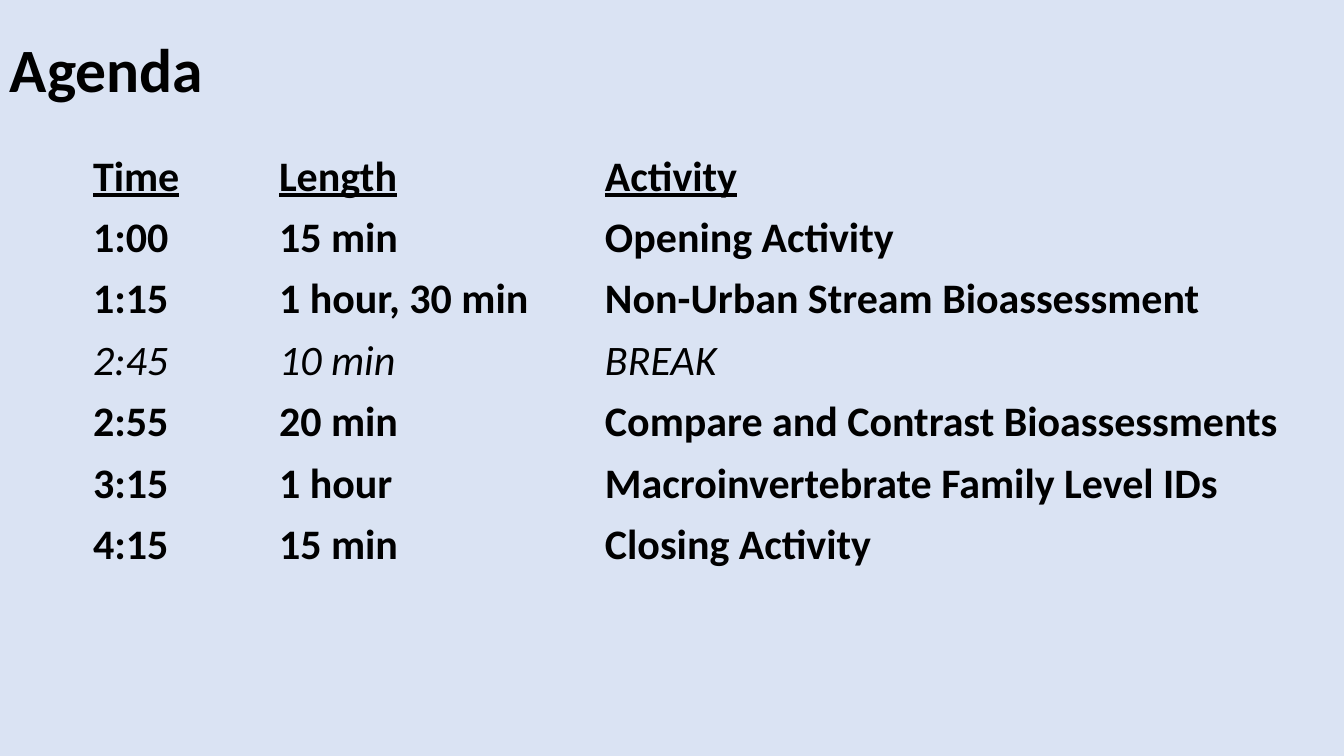
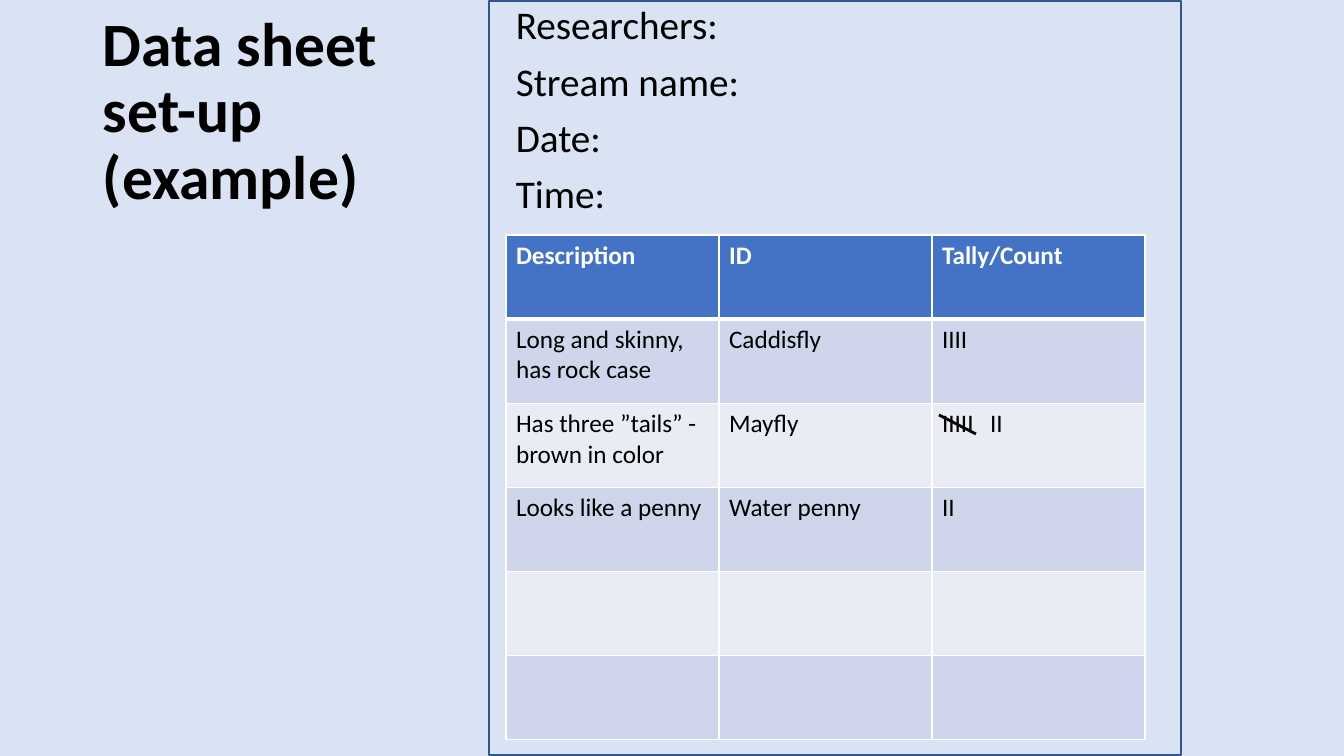
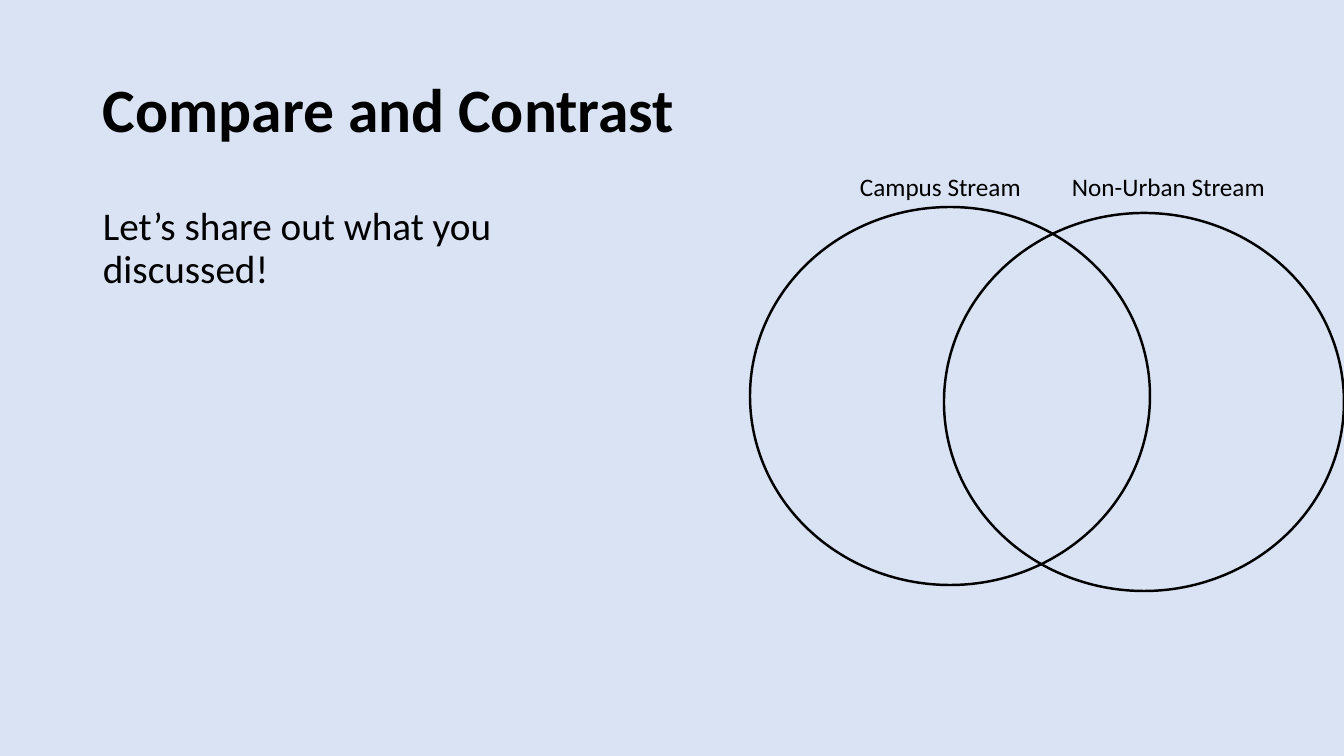
from lxml import etree
from pptx import Presentation
from pptx.dml.color import RGBColor
from pptx.enum.shapes import MSO_CONNECTOR, MSO_SHAPE
from pptx.enum.text import MSO_ANCHOR
from pptx.oxml.ns import qn
from pptx.util import Emu, Pt

LINE = MSO_CONNECTOR.STRAIGHT
RECT, OVAL = MSO_SHAPE.RECTANGLE, MSO_SHAPE.OVAL
TOP, MIDDLE = MSO_ANCHOR.TOP, MSO_ANCHOR.MIDDLE

FONT = "Calibri"
PLAIN_TABLE = "{2D5ABB26-0587-4C30-8999-92F81FD0307C}"
COLORS = {
    "background": "DAE3F3",
    "text": "000000",
    "white": "FFFFFF",
    "header": "4472C4",
    "band_dark": "CFD5EA",
    "band_light": "E9EBF5",
    "frame": "325491",
}

TITLE = {"size": Pt(44), "bold": True}
BODY = {"size": Pt(28)}
SMALL = {"size": Pt(18)}
AGENDA = {"size": Pt(30), "bold": True}
AGENDA_HEAD = {**AGENDA, "underline": True}
AGENDA_BREAK = {"size": Pt(30), "italic": True}

AGENDA_WIDTHS = (186, 326, 721)
AGENDA_ROWS = [
    ("Time", "Length", "Activity"),
    ("1:00", "15 min", "Opening Activity"),
    ("1:15", "1 hour, 30 min", "Non-Urban Stream Bioassessment"),
    ("2:45", "10 min", "BREAK"),
    ("2:55", "20 min", "Compare and Contrast Bioassessments"),
    ("3:15", "1 hour", "Macroinvertebrate Family Level IDs"),
    ("4:15", "15 min", "Closing Activity"),
]

SHEET_FIELDS = ["Researchers:", "Stream name:", "Date:", "Time:"]
SHEET_WIDTHS = (213, 213, 213)
TALLY_TAB = 48
SHEET_ROWS = [
    ("Description", "ID", "Tally/Count"),
    ("Long and skinny, has rock case", "Caddisfly", "IIII"),
    ("Has three ”tails” - brown in color", "Mayfly", "IIIII\tII"),
    ("Looks like a penny", "Water penny", "II"),
    ("", "", ""),
    ("", "", ""),
]

STREAMS = [
    ("Campus Stream", (850, 166, 188, 40), (750, 207, 400, 378)),
    ("Non-Urban Stream", (1062, 166, 221, 40), (944, 213, 400, 378)),
]


def px(n):
    return Emu(round(n * 914400 / 100.8))


def rgb(name):
    return RGBColor.from_string(COLORS[name])


def write(tf, lines, style, color="text", **spacing):
    for i, line in enumerate(lines):
        p = tf.add_paragraph() if i else tf.paragraphs[0]
        for key, value in spacing.items():
            setattr(p, key, value)
        r = p.add_run()
        r.text = line
        r.font.name = FONT
        r.font.color.rgb = rgb(color)
        for key, value in style.items():
            setattr(r.font, key, value)


def add_text(s, box, lines, style, anchor=TOP, wrap=True, **spacing):
    tf = s.shapes.add_textbox(*map(px, box)).text_frame
    tf.word_wrap = wrap
    tf.vertical_anchor = anchor
    write(tf, lines, style, **spacing)


def add_body(s, box, lines):
    add_text(s, box, lines, BODY, line_spacing=0.9, space_before=Pt(10))


def add_slide(prs, title, box):
    s = prs.slides.add_slide(prs.slide_layouts[6])
    add_text(s, box, [title], TITLE, MIDDLE, line_spacing=0.9)
    return s


def add_outline(s, kind, box, color, width):
    sp = s.shapes.add_shape(kind, *map(px, box))
    sp.shadow.inherit = False
    sp.fill.background()
    sp.line.color.rgb = rgb(color)
    sp.line.width = Pt(width)


def add_table(s, left, top, height, widths, rows):
    frame = s.shapes.add_table(len(rows), len(widths), px(left), px(top), px(sum(widths)), px(height))
    table = frame.table
    table.first_row = table.horz_banding = False
    table._tbl.tblPr.find(qn("a:tableStyleId")).text = PLAIN_TABLE
    for column, width in zip(table.columns, widths):
        column.width = px(width)
    return table


def set_borders(cell, color, widths):
    tcPr = cell._tc.get_or_add_tcPr()
    for side, width in widths.items():
        ln = etree.SubElement(tcPr, qn("a:ln" + side), w=str(Pt(width)))
        fill = etree.SubElement(ln, qn("a:solidFill"))
        etree.SubElement(fill, qn("a:srgbClr"), val=COLORS[color])


def set_tab(p, position):
    tabs = etree.SubElement(p._p.get_or_add_pPr(), qn("a:tabLst"))
    etree.SubElement(tabs, qn("a:tab"), pos=str(px(position)), algn="l")


def build_agenda(prs):
    s = add_slide(prs, "Agenda", (0, 0, 1159, 146))
    table = add_table(s, 83, 146, 430, AGENDA_WIDTHS, AGENDA_ROWS)
    styles = {0: AGENDA_HEAD, 3: AGENDA_BREAK}
    for i, row in enumerate(AGENDA_ROWS):
        for j, text in enumerate(row):
            cell = table.cell(i, j)
            cell.fill.background()
            write(cell.text_frame, [text], styles.get(i, AGENDA))


def build_data_sheet(prs):
    s = add_slide(prs, "Data sheet set-up (example)", (93, 40, 396, 146))
    add_body(s, (506, 1, 656, 649), SHEET_FIELDS)
    table = add_table(s, 506, 235, 505, SHEET_WIDTHS, SHEET_ROWS)
    for i, row in enumerate(SHEET_ROWS):
        head = i == 0
        fill = "header" if head else ("band_light", "band_dark")[i % 2]
        for j, text in enumerate(row):
            cell = table.cell(i, j)
            top, bottom = 3 if i == 1 else 1, 3 if head else 1
            set_borders(cell, "white", {"L": 1, "R": 1, "T": top, "B": bottom})
            cell.fill.solid()
            cell.fill.fore_color.rgb = rgb(fill)
            if text:
                write(cell.text_frame, [text], {**SMALL, "bold": head}, "white" if head else "text")
            if "\t" in text:
                set_tab(cell.text_frame.paragraphs[0], TALLY_TAB)
    add_outline(s, RECT, (489, 1, 692, 754), "frame", 1)
    strike = s.shapes.add_connector(LINE, *map(px, (939, 415, 976, 434)))
    strike.line.color.rgb = rgb("text")
    strike.line.width = Pt(2)
    etree.SubElement(strike._element.spPr, qn("a:effectLst"))


def build_comparison(prs):
    s = add_slide(prs, "Compare and Contrast", (93, 40, 1159, 146))
    for label, label_box, circle_box in STREAMS:
        add_outline(s, OVAL, circle_box, "text", 1.75)
        add_text(s, label_box, [label], SMALL, wrap=False)
    add_body(s, (93, 202, 478, 480), ["Let’s share out what you discussed!"])


def main():
    prs = Presentation()
    prs.slide_width, prs.slide_height = px(1344), px(756)
    background = prs.slide_master.background.fill
    background.solid()
    background.fore_color.rgb = rgb("background")
    for build in (build_agenda, build_data_sheet, build_comparison):
        build(prs)
    prs.save("out.pptx")


if __name__ == "__main__":
    main()
